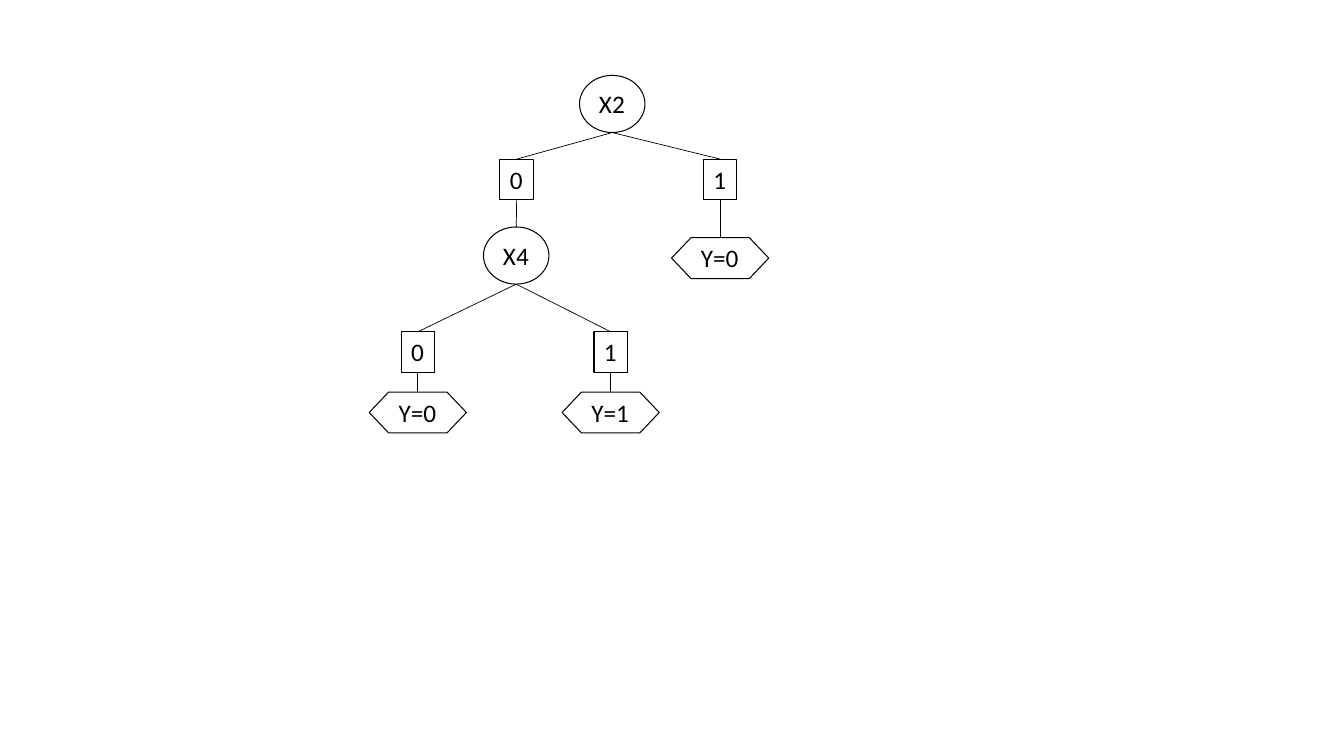
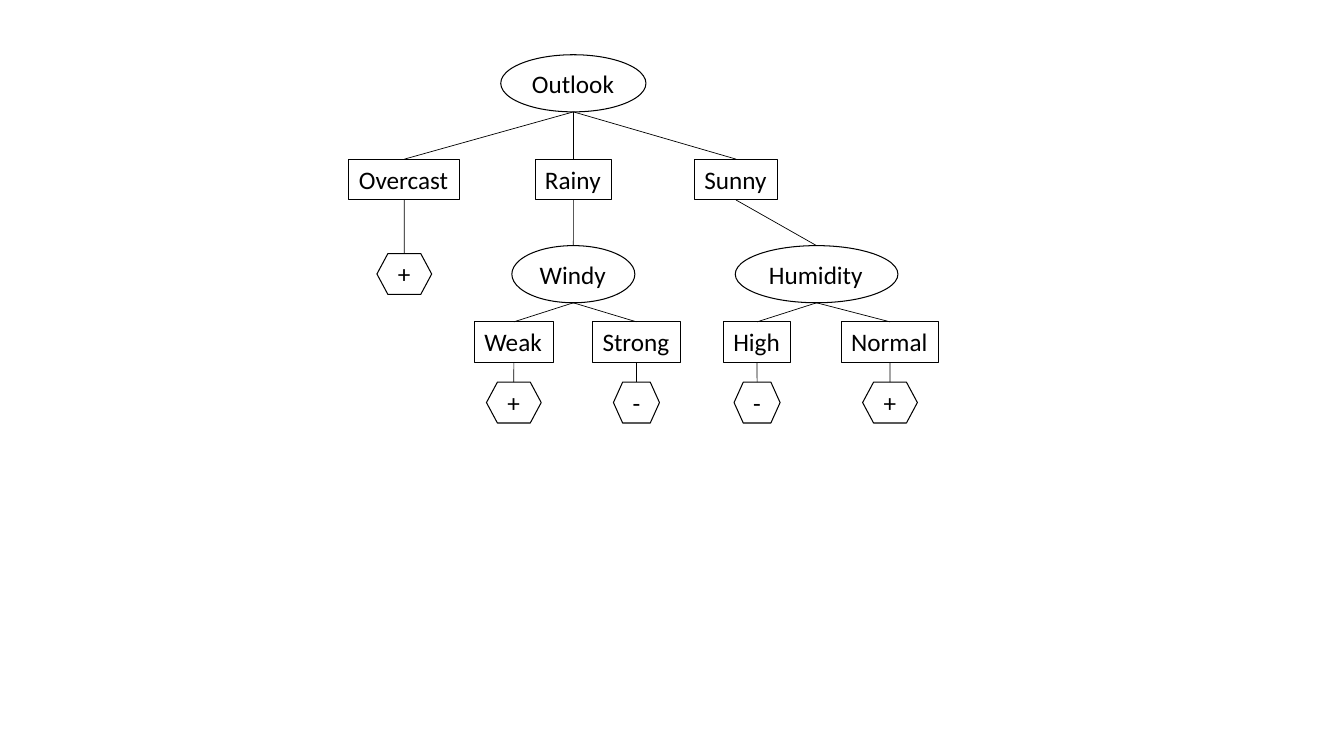
from dataclasses import dataclass

from lxml import etree
from pptx import Presentation
from pptx.dml.color import RGBColor
from pptx.enum.shapes import MSO_CONNECTOR, MSO_SHAPE
from pptx.enum.text import MSO_ANCHOR, MSO_AUTO_SIZE, PP_ALIGN
from pptx.oxml.ns import qn
from pptx.util import Cm, Pt

OVAL = MSO_SHAPE.FLOWCHART_CONNECTOR
BOX = MSO_SHAPE.RECTANGLE
HEXAGON = MSO_SHAPE.FLOWCHART_PREPARATION
STRAIGHT = MSO_CONNECTOR.STRAIGHT
LEFT = PP_ALIGN.LEFT
TOP = MSO_ANCHOR.TOP
FIT_SHAPE = MSO_AUTO_SIZE.SHAPE_TO_FIT_TEXT

TOP_SITE, BOTTOM_SITE = 0, 2
HEIGHTS = {OVAL: 1.44, BOX: 1.03, HEXAGON: 1.03}
WIDTHS = {
    "X2": 1.65, "X4": 1.65, "0": 0.84, "1": 0.84, "Y=0": 2.45, "Y=1": 2.45,
    "Outlook": 3.66, "Windy": 3.1, "Humidity": 4.1,
    "Overcast": 2.79, "Rainy": 1.93, "Sunny": 2.1,
    "Weak": 1.99, "Strong": 2.21, "High": 1.7, "Normal": 2.46,
    "+": 1.38, "-": 1.16,
}


@dataclass(frozen=True)
class Theme:
    """Colours, type and line weights shared by both slides."""
    ink: RGBColor = RGBColor(0, 0, 0)
    font: str = "Calibri"
    text_size: Pt = Pt(18)
    outline: Pt = Pt(0.75)
    branch: Pt = Pt(0.5)


@dataclass(frozen=True)
class Node:
    """One tree node: centre and top in centimetres, then its children."""
    kind: MSO_SHAPE
    label: str
    center: float
    top: float
    children: tuple = ()


class TreeDeck:
    """Holds the theme and the current slide, and draws decision trees."""

    def __init__(self, theme):
        """Start an empty widescreen presentation."""
        self.theme = theme
        self.deck = Presentation()
        self.deck.slide_width, self.deck.slide_height = Cm(33.87), Cm(19.05)
        self.slide = None

    def add_slide(self):
        """Make a new blank slide the current one."""
        self.slide = self.deck.slides.add_slide(self.deck.slide_layouts[6])

    def style_line(self, line, weight):
        """Apply the ink colour and a weight to a line."""
        line.color.rgb = self.theme.ink
        line.width = weight

    def add_label(self, shape, label):
        """Put the label into a shape in the shared text style."""
        frame = shape.text_frame
        frame.text = label
        paragraph = frame.paragraphs[0]
        font = paragraph.runs[0].font
        formats = (
            (frame, {"word_wrap": False, "auto_size": FIT_SHAPE,
                     "vertical_anchor": TOP}),
            (paragraph, {"alignment": LEFT}),
            (font, {"name": self.theme.font, "size": self.theme.text_size}),
        )
        for target, values in formats:
            for name, value in values.items():
                setattr(target, name, value)
        font.color.rgb = self.theme.ink

    def node(self, node):
        """Draw an outlined, labelled node."""
        width = WIDTHS[node.label]
        shape = self.slide.shapes.add_shape(
            node.kind, Cm(node.center - width / 2), Cm(node.top),
            Cm(width), Cm(HEIGHTS[node.kind]))
        shape.shadow.inherit = False
        shape.fill.background()
        self.style_line(shape.line, self.theme.outline)
        self.add_label(shape, node.label)
        return shape

    def branch(self, parent, child):
        """Join the bottom of the parent to the top of the child."""
        line = self.slide.shapes.add_connector(
            STRAIGHT, parent.left + parent.width // 2,
            parent.top + parent.height,
            child.left + child.width // 2, child.top)
        if parent.auto_shape_type == BOX:
            line.begin_connect(parent, BOTTOM_SITE)
        line.end_connect(child, TOP_SITE)
        self.style_line(line.line, self.theme.branch)
        etree.SubElement(line.element.spPr, qn("a:effectLst"))

    def tree(self, root):
        """Draw a node with everything below it."""
        parent = self.node(root)
        for child in root.children:
            self.branch(parent, self.tree(child))
        return parent


def binary_tree():
    """Tree that tests X2, then X4."""
    answer_top, value_top = 9.88, 8.36
    x4 = Node(OVAL, "X4", 13.01, 5.72, tuple(
        Node(BOX, value, center, value_top,
             (Node(HEXAGON, answer, center, answer_top),))
        for value, answer, center in (("0", "Y=0", 10.53), ("1", "Y=1", 15.39))))
    return Node(OVAL, "X2", 15.43, 1.9, (
        Node(BOX, "0", 13.02, 4.01, (x4,)),
        Node(BOX, "1", 18.15, 4.01, (Node(HEXAGON, "Y=0", 18.15, 5.99),)),
    ))


def weather_tree():
    """Tree that tests the outlook, then wind or humidity."""
    outlook_top, test_top, value_top, answer_top = 4.01, 6.19, 8.11, 9.63

    def test(label, center, outcomes):
        """Build a second-level test with its answers."""
        return Node(OVAL, label, center, test_top, tuple(
            Node(BOX, value, middle, value_top,
                 (Node(HEXAGON, answer, middle, answer_top),))
            for value, answer, middle in outcomes))

    windy = test("Windy", 14.45, (("Weak", "+", 12.95), ("Strong", "-", 16.04)))
    humidity = test("Humidity", 20.58,
                    (("High", "-", 19.08), ("Normal", "+", 22.43)))
    overcast_answer = Node(HEXAGON, "+", 10.19, 6.39)
    return Node(OVAL, "Outlook", 14.45, 1.38, (
        Node(BOX, "Overcast", 10.19, outlook_top, (overcast_answer,)),
        Node(BOX, "Rainy", 14.45, outlook_top, (windy,)),
        Node(BOX, "Sunny", 18.55, outlook_top, (humidity,)),
    ))


def main():
    """Build one slide for each tree and save the deck."""
    trees = TreeDeck(Theme())
    for root in (binary_tree(), weather_tree()):
        trees.add_slide()
        trees.tree(root)
    trees.deck.save("out.pptx")


main()
